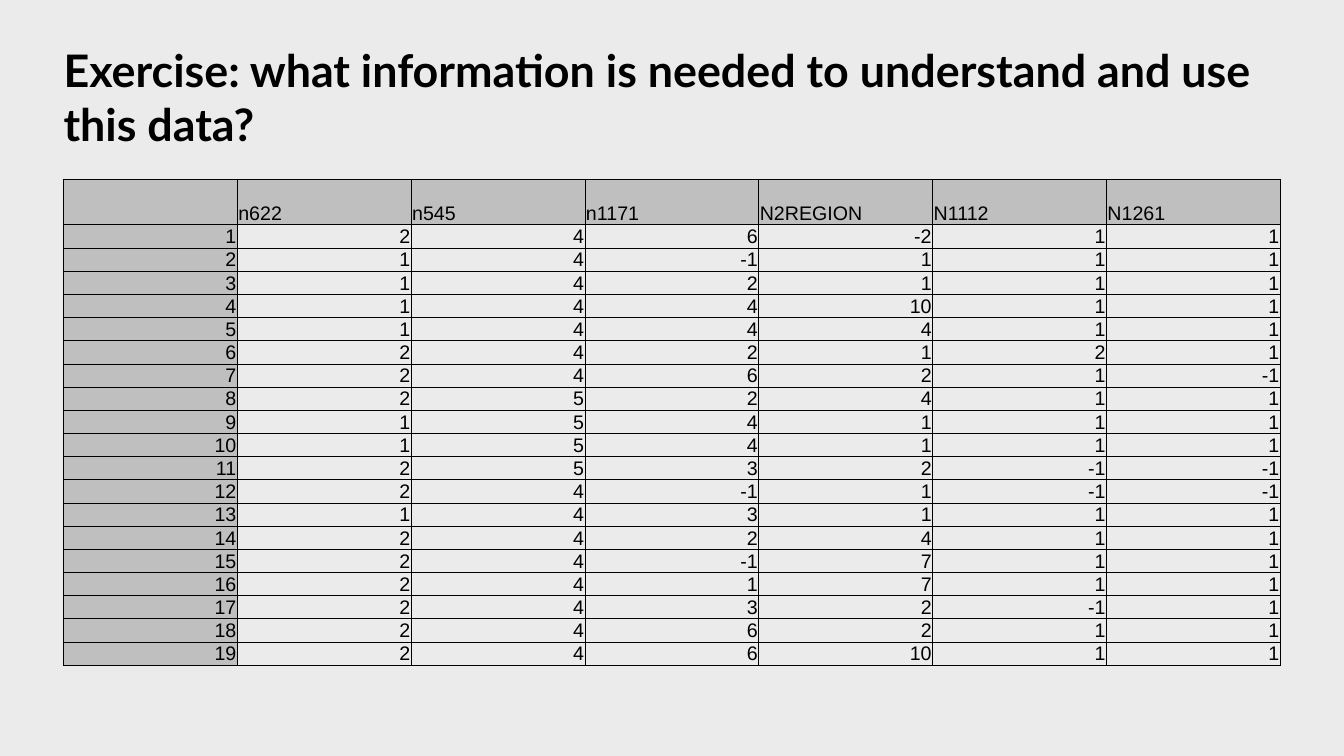
import pptx
import pptx.dml.color
import pptx.enum.text
import pptx.oxml
import pptx.oxml.ns
import pptx.util

PX = 9144  # EMU per px, 100 px to the inch
INK, GREY, PAPER = "000000", "BFBFBF", "EBEBEB"
HEADER_H, ROW_H = 45, 23

HEADERS = ["", "n622", "n545", "n1171", "N2REGION", "N1112", "N1261"]
RECORDS = [
    (2, 4, 6, -2, 1, 1),
    (1, 4, -1, 1, 1, 1),
    (1, 4, 2, 1, 1, 1),
    (1, 4, 4, 10, 1, 1),
    (1, 4, 4, 4, 1, 1),
    (2, 4, 2, 1, 2, 1),
    (2, 4, 6, 2, 1, -1),
    (2, 5, 2, 4, 1, 1),
    (1, 5, 4, 1, 1, 1),
    (1, 5, 4, 1, 1, 1),
    (2, 5, 3, 2, -1, -1),
    (2, 4, -1, 1, -1, -1),
    (1, 4, 3, 1, 1, 1),
    (2, 4, 2, 4, 1, 1),
    (2, 4, -1, 7, 1, 1),
    (2, 4, 1, 7, 1, 1),
    (2, 4, 3, 2, -1, 1),
    (2, 4, 6, 2, 1, 1),
    (2, 4, 6, 10, 1, 1),
]


def color(value):
    return pptx.dml.color.RGBColor.from_string(value)


def format_text(p, font, size, align, bold=False):
    p.alignment = align
    for r in p.runs:
        r.font.name = font
        r.font.size = pptx.util.Pt(size)
        r.font.bold = bold
        r.font.color.rgb = color(INK)


def add_borders(cell):
    tcPr = cell._tc.get_or_add_tcPr()
    for i, side in enumerate("LRTB"):
        tcPr.insert(i, pptx.oxml.parse_xml(
            f'<a:ln{side} {pptx.oxml.ns.nsdecls("a")} w="6350"><a:solidFill>'
            f'<a:srgbClr val="{INK}"/></a:solidFill></a:ln{side}>'))


def fill_cell(cell, text, shaded, align):
    cell.text_frame.text = text
    format_text(cell.text_frame.paragraphs[0], "Arial", 14, align)
    cell.vertical_anchor = pptx.enum.text.MSO_ANCHOR.BOTTOM
    cell.margin_left = cell.margin_right = cell.margin_top = PX
    cell.margin_bottom = 0
    if shaded:
        cell.fill.solid()
        cell.fill.fore_color.rgb = color(GREY)
    else:
        cell.fill.background()
    add_borders(cell)


def place_title(s, x, y, w, h, text):
    title = s.shapes.title
    title.left, title.top, title.width, title.height = (v * PX for v in (x, y, w, h))
    tf = title.text_frame
    tf.text = text
    tf.word_wrap = True
    tf.auto_size = pptx.enum.text.MSO_AUTO_SIZE.NONE
    tf.vertical_anchor = pptx.enum.text.MSO_ANCHOR.MIDDLE
    tf.margin_left = tf.margin_right = tf.margin_bottom = 0
    tf.margin_top = 5 * PX
    format_text(tf.paragraphs[0], "Lato", 32, pptx.enum.text.PP_ALIGN.LEFT, bold=True)


def add_data_table(s, x, y, w):
    rows = [HEADERS] + [(n, *record) for n, record in enumerate(RECORDS, 1)]
    h = HEADER_H + ROW_H * len(RECORDS)
    table = s.shapes.add_table(len(rows), len(HEADERS),
                               x * PX, y * PX, w * PX, h * PX).table
    table.first_row = table.horz_banding = False
    for column in table.columns:
        column.width = w * PX // len(HEADERS)
    for i, values in enumerate(rows):
        table.rows[i].height = (ROW_H if i else HEADER_H) * PX
        align = pptx.enum.text.PP_ALIGN.RIGHT if i else pptx.enum.text.PP_ALIGN.LEFT
        for j, value in enumerate(values):
            fill_cell(table.cell(i, j), str(value), i == 0 or j == 0, align)


def build_exercise_slide(prs):
    s = prs.slides.add_slide(prs.slide_layouts[5])
    s.background.fill.solid()
    s.background.fill.fore_color.rgb = color(PAPER)
    # Title
    place_title(s, 63, 65, 1207, 56,
                "Exercise: what information is needed to understand and use this data?")
    # Survey data
    add_data_table(s, 63, 178, 1207)


def main():
    prs = pptx.Presentation()
    prs.slide_width, prs.slide_height = 1333 * PX, 750 * PX
    build_exercise_slide(prs)
    prs.save("out.pptx")


if __name__ == "__main__":
    main()
